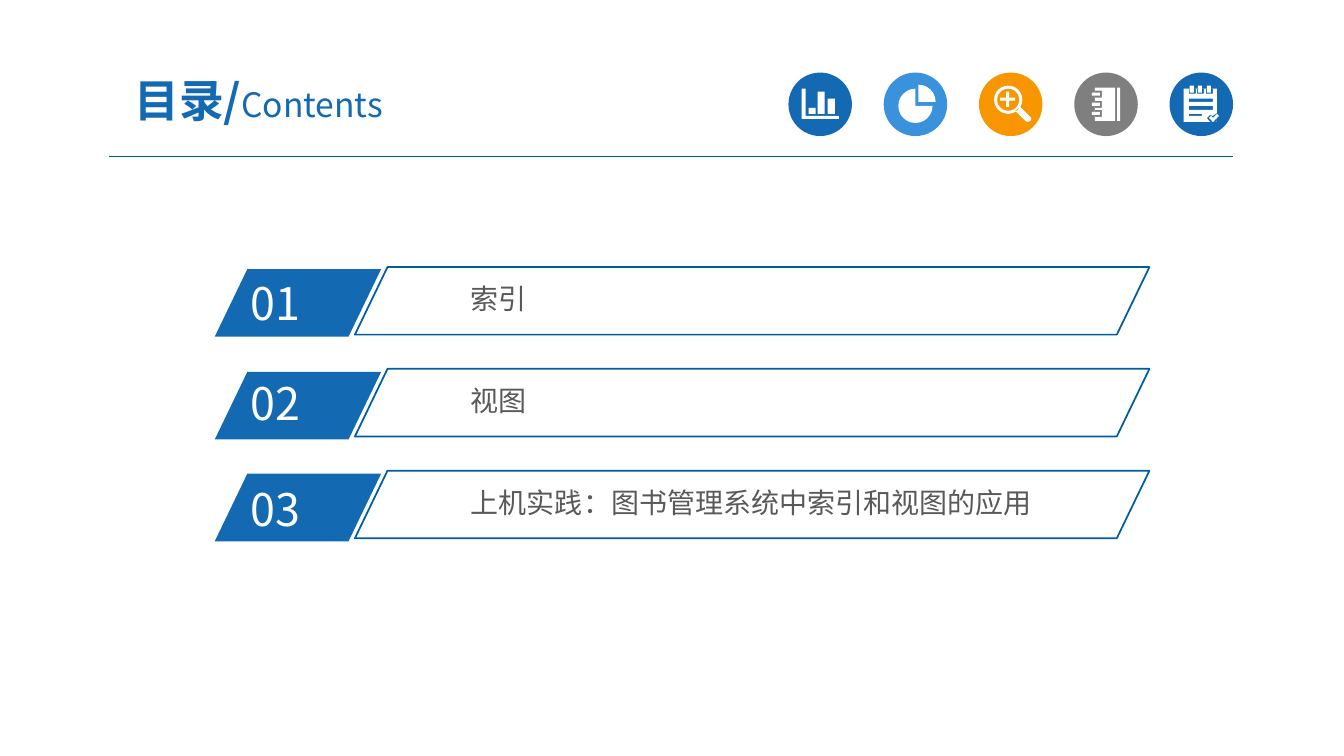
import math

import lxml.etree
import pptx
import pptx.dml.color
import pptx.enum.shapes
import pptx.enum.text
import pptx.oxml.ns
import pptx.util

Inches = pptx.util.Inches
Kind = pptx.enum.shapes.MSO_SHAPE
FONT = "Noto Sans CJK SC"
COLORS = {
    "blue": "1369B2",
    "sky": "3992DB",
    "orange": "F79600",
    "gray": "7F7F7F",
    "white": "FFFFFF",
    "text": "595959",
    "outline": "005DA2",
    "divider": "005B9E",
}


def add_run(paragraph, text, size, color, bold=False):
    run = paragraph.add_run()
    run.text = text
    run.font.name = FONT
    run.font.size = pptx.util.Pt(size)
    run.font.bold = bold
    run.font.color.rgb = pptx.dml.color.RGBColor.from_string(COLORS[color])
    east_asian = lxml.etree.SubElement(run.font._element, pptx.oxml.ns.qn("a:ea"))
    east_asian.set("typeface", FONT)


def style_shape(shape, fill=None, line=None):
    shape.shadow.inherit = False
    if fill:
        shape.fill.solid()
        shape.fill.fore_color.rgb = pptx.dml.color.RGBColor.from_string(COLORS[fill])
    else:
        shape.fill.background()
    if line:
        shape.line.color.rgb = pptx.dml.color.RGBColor.from_string(COLORS[line])
        shape.line.width = pptx.util.Pt(1.25)
    else:
        shape.line.fill.background()


presentation = pptx.Presentation()
presentation.slide_width = Inches(13.33)
presentation.slide_height = Inches(7.5)
slide = presentation.slides.add_slide(presentation.slide_layouts[5])
shapes = slide.shapes

title = shapes.title
title.left, title.top = Inches(0.92), Inches(0.63)
title.width, title.height = Inches(3.29), Inches(0.72)
title_frame = title.text_frame
title_frame.auto_size = pptx.enum.text.MSO_AUTO_SIZE.NONE
title_frame.vertical_anchor = pptx.enum.text.MSO_ANCHOR.MIDDLE
title_frame.margin_left = title_frame.margin_right = Inches(0.13)
title_frame.margin_top = title_frame.margin_bottom = Inches(0.07)
title_paragraph = title_frame.paragraphs[0]
title_paragraph.alignment = pptx.enum.text.PP_ALIGN.CENTER
add_run(title_paragraph, "目录/", size=32, color="blue", bold=True)
add_run(title_paragraph, "Contents", size=24, color="blue")

divider = shapes.add_connector(
    pptx.enum.shapes.MSO_CONNECTOR.STRAIGHT,
    Inches(1.08), Inches(1.55), Inches(12.23), Inches(1.55),
)
divider.line.color.rgb = pptx.dml.color.RGBColor.from_string(COLORS["divider"])
divider.line.width = pptx.util.Pt(0.75)
lxml.etree.SubElement(divider._element.spPr, pptx.oxml.ns.qn("a:effectLst"))

arcs = []
for center_x, center_y, radius, start, end in (
    (9.08, 1.05, 0.17, 0, 270),
    (9.11, 1.01, 0.17, 270, 360),
    (10, 0.99, 0.14, 0, 345),
    (10, 0.99, 0.11, 0, 345),
):
    arcs.append([
        (center_x + radius * math.cos(math.radians(angle)),
         center_y + radius * math.sin(math.radians(angle)))
        for angle in range(start, end + 1, 15)
    ])
pie, pie_slice, lens_rim, lens_opening = arcs
handle = [(10.12, 1.06), (10.22, 1.16), (10.23, 1.18), (10.22, 1.2), (10.19, 1.21), (10.17, 1.2), (10.07, 1.1)]
check_gap = [(11.97, 1.17), (12, 1.14), (12.03, 1.15), (12.07, 1.12), (12.07, 1.21), (12, 1.21)]
check = [(11.99, 1.17), (12.01, 1.15), (12.03, 1.17), (12.07, 1.13), (12.09, 1.15), (12.03, 1.21)]

chart_boxes = [
    (7.95, 0.88, 0.04, 0.27), (7.95, 1.15, 0.37, 0.03),
    (8.02, 1.07, 0.07, 0.06), (8.11, 0.91, 0.07, 0.22), (8.21, 0.98, 0.07, 0.15),
]
plus_boxes = [(9.98, 0.91, 0.03, 0.15), (9.92, 0.97, 0.06, 0.03), (10.01, 0.97, 0.06, 0.03)]
notebook_boxes = [(10.86, 0.87, 0.2, 0.33), (11.08, 0.87, 0.03, 0.33)]
for ring_top in (0.9, 1, 1.09):
    notebook_boxes += [(10.86, ring_top, 0.07, 0.07), (10.83, ring_top + 0.02, 0.08, 0.03)]
notepad_boxes = [
    (11.74, 0.88, 0.33, 0.33),
    (11.79, 0.98, 0.24, 0.03), (11.79, 1.05, 0.24, 0.04), (11.79, 1.13, 0.13, 0.02),
]
for ring_left in (11.79, 11.87, 11.96):
    notepad_boxes += [(ring_left, 0.88, 0.07, 0.05), (ring_left + 0.01, 0.85, 0.04, 0.07)]

icons = [
    ("blue", chart_boxes, []),
    ("sky", [], [pie + [(9.08, 1.05)], pie_slice + [(9.11, 1.01)]]),
    ("orange", plus_boxes, [lens_rim, lens_opening, handle]),
    ("gray", notebook_boxes, []),
    ("blue", notepad_boxes, [check_gap, check]),
]
for index, (color, boxes, polygons) in enumerate(icons):
    circle = shapes.add_shape(
        Kind.OVAL, Inches(7.82 + index * 0.945), Inches(0.72), Inches(0.63), Inches(0.63)
    )
    style_shape(circle, fill=color)
    contours = [
        [(left, top), (left + width, top), (left + width, top + height), (left, top + height)]
        for left, top, width, height in boxes
    ] + polygons
    builder = None
    for contour in contours:
        points = [(Inches(x), Inches(y)) for x, y in contour]
        if builder is None:
            builder = shapes.build_freeform(*points[0])
        else:
            builder.move_to(*points[0])
        builder.add_line_segments(points[1:], close=True)
    style_shape(builder.convert_to_shape(), fill="white")

entries = [
    ("01", "索引", 2.67, 2.69, 2.75),
    ("02", "视图", 3.69, 3.68, 3.76),
    ("03", "上机实践：图书管理系统中索引和视图的应用", 4.7, 4.73, 4.78),
]
for index, (number, topic, tab_top, number_top, topic_top) in enumerate(entries):
    for left, top, width, fill, line in (
        (2.13, tab_top, 1.65, "blue", None),
        (3.52, 2.65 + index * 1.01, 7.88, None, "outline"),
    ):
        banner = shapes.add_shape(
            Kind.PARALLELOGRAM, Inches(left), Inches(top), Inches(width), Inches(0.67)
        )
        banner.adjustments[0] = 0.482
        style_shape(banner, fill=fill, line=line)
    for text, left, top, width, height, size, color, side, edge in (
        (number, 2.39, number_top, 1.57, 0.64, 32, "white", 0.1, 0.05),
        (topic, 4.59, topic_top, 5.78, 0.41, 20, "text", 0.08, 0.04),
    ):
        label = shapes.add_textbox(Inches(left), Inches(top), Inches(width), Inches(height))
        frame = label.text_frame
        frame.word_wrap = True
        frame.margin_left = frame.margin_right = Inches(side)
        frame.margin_top = frame.margin_bottom = Inches(edge)
        add_run(frame.paragraphs[0], text, size=size, color=color)

presentation.save("out.pptx")
